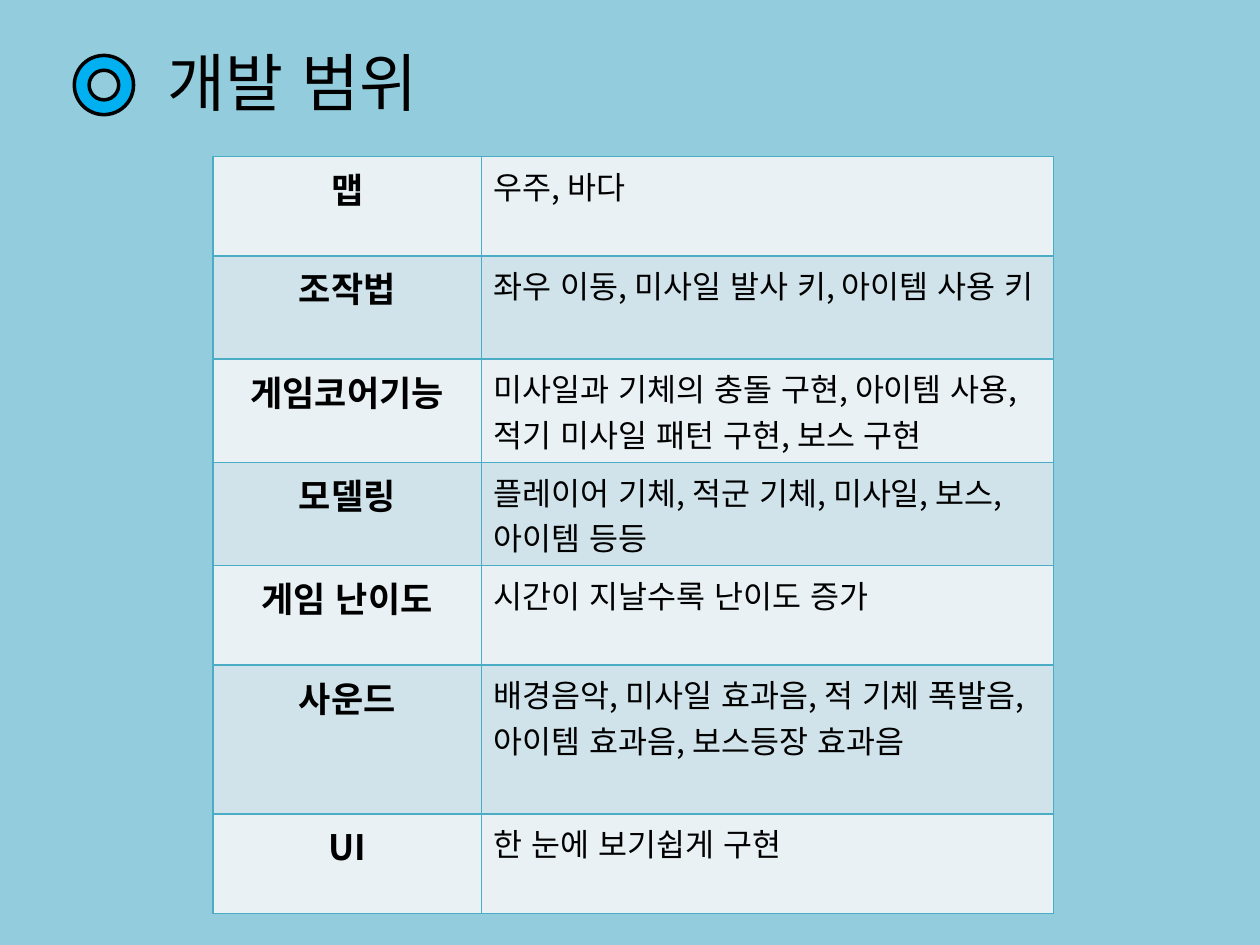
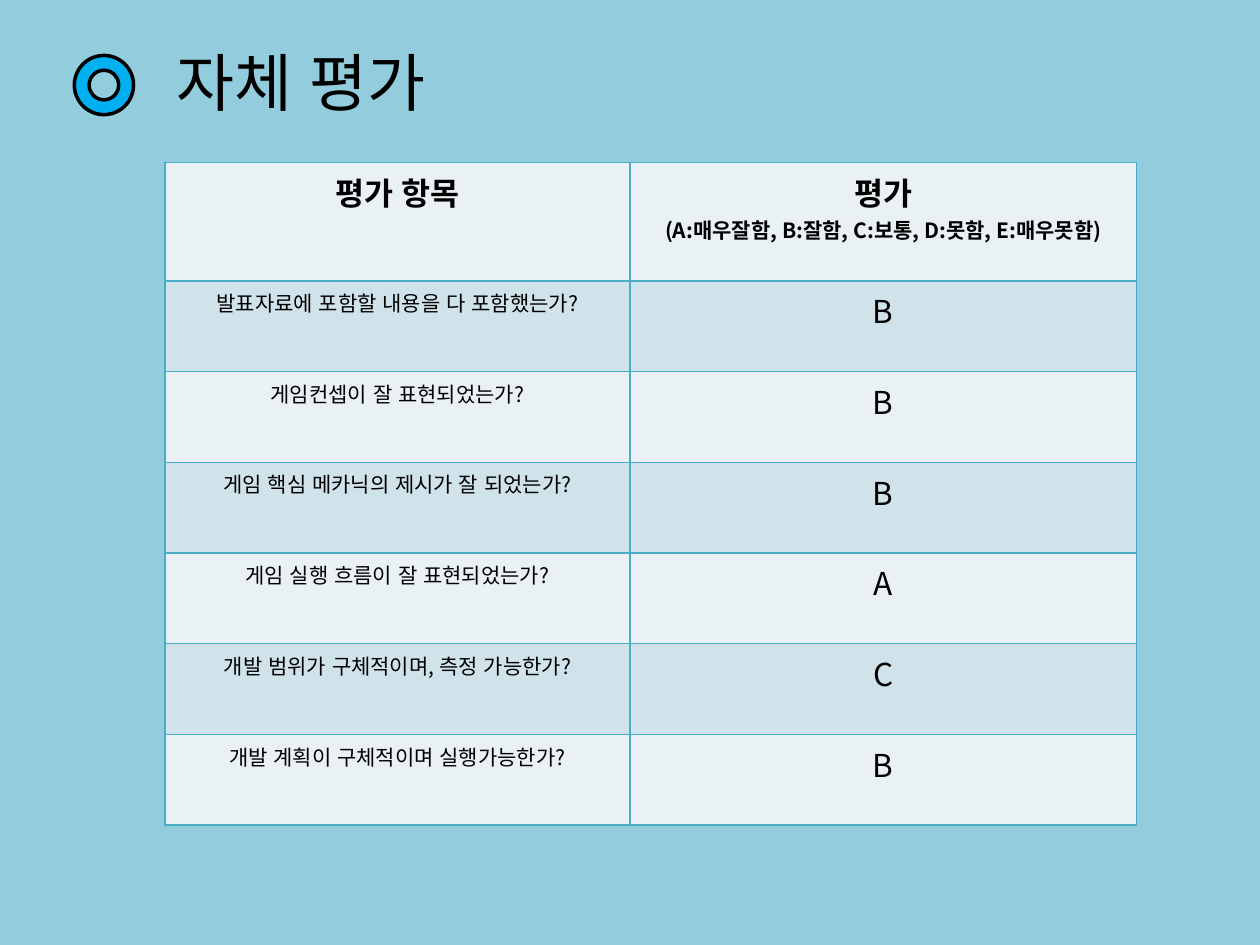
"""Build the game proposal slides on development scope and self evaluation."""
import pptx
import pptx.dml.color
import pptx.enum.shapes
import pptx.enum.text
import pptx.oxml
import pptx.oxml.ns
import pptx.util
from pptx.util import Inches

FONT = "Noto Sans CJK KR"
COLORS = {
    "background": "93CDDD",
    "ring": "00B0F0",
    "ink": "000000",
    "border": "4BACC6",
    "light_row": "E9F1F5",
    "dark_row": "D0E3EA",
}
CENTER = pptx.enum.text.PP_ALIGN.CENTER
LEFT = pptx.enum.text.PP_ALIGN.LEFT

SCOPE = [
    ("맵", "우주, 바다"),
    ("조작법", "좌우 이동, 미사일 발사 키, 아이템 사용 키"),
    ("게임코어기능", "미사일과 기체의 충돌 구현, 아이템 사용, 적기 미사일 패턴 구현, 보스 구현"),
    ("모델링", "플레이어 기체, 적군 기체, 미사일, 보스, 아이템 등등"),
    ("게임 난이도", "시간이 지날수록 난이도 증가"),
    ("사운드", "배경음악, 미사일 효과음, 적 기체 폭발음, 아이템 효과음, 보스등장 효과음"),
    ("UI", "한 눈에 보기쉽게 구현"),
]
SCOPE_LINES = (1, 2, 2, 2, 1, 3, 1)
SCOPE_HEIGHTS = {1: 0.79, 2: 0.82, 3: 1.18}
EVALUATION_HEADER = (
    "평가 항목",
    "평가\n(A:매우잘함, B:잘함, C:보통, D:못함, E:매우못함)",
)
EVALUATION = [
    ("발표자료에 포함할 내용을 다 포함했는가?", "B"),
    ("게임컨셉이 잘 표현되었는가?", "B"),
    ("게임 핵심 메카닉의 제시가 잘 되었는가?", "B"),
    ("게임 실행 흐름이 잘 표현되었는가?", "A"),
    ("개발 범위가 구체적이며, 측정 가능한가?", "C"),
    ("개발 계획이 구체적이며 실행가능한가?", "B"),
]


def rgb(name):
    """Return the named palette colour."""
    return pptx.dml.color.RGBColor.from_string(COLORS[name])


def format_paragraph(paragraph, size, bold=False, align=CENTER):
    """Apply the shared Korean font without kerning, ink colour and alignment."""
    paragraph.alignment = align
    for run in paragraph.runs:
        run.font.name = FONT
        run.font.size = pptx.util.Pt(size)
        run.font.bold = bold
        run.font.color.rgb = rgb("ink")
        properties = run.font._element
        properties.set("lang", "ko-KR")
        properties.set("kern", "0")
        east_asian = pptx.oxml.parse_xml(
            f'<a:ea {pptx.oxml.ns.nsdecls("a")} typeface="{FONT}"/>')
        properties.find(pptx.oxml.ns.qn("a:latin")).addnext(east_asian)


def add_titled_slide(deck, heading):
    """Add a slide with the shared background, ring and title."""
    slide = deck.slides.add_slide(deck.slide_layouts[6])
    slide.background.fill.solid()
    slide.background.fill.fore_color.rgb = rgb("background")

    ring = slide.shapes.add_shape(
        pptx.enum.shapes.MSO_SHAPE.DONUT,
        Inches(0.59), Inches(0.44), Inches(0.47), Inches(0.47))
    ring.shadow.inherit = False
    ring.fill.solid()
    ring.fill.fore_color.rgb = rgb("ring")
    ring.line.color.rgb = rgb("ink")
    ring.line.width = pptx.util.Pt(2)

    title = slide.shapes.add_textbox(
        Inches(-0.01), Inches(0.02), Inches(4.66), Inches(1.25)).text_frame
    title.word_wrap = True
    title.vertical_anchor = pptx.enum.text.MSO_ANCHOR.MIDDLE
    title.text = heading
    format_paragraph(title.paragraphs[0], 36)
    return slide


def add_borders(cell):
    """Draw a one point line on all four sides of a cell."""
    properties = cell._tc.get_or_add_tcPr()
    for side in ("lnL", "lnR", "lnT", "lnB"):
        properties.append(pptx.oxml.parse_xml(
            f'<a:{side} {pptx.oxml.ns.nsdecls("a")} w="12700"><a:solidFill>'
            f'<a:srgbClr val="{COLORS["border"]}"/></a:solidFill></a:{side}>'))


def add_banded_table(slide, left, top, widths, heights, rows):
    """Add a bordered table whose row fills alternate, and return it."""
    table = slide.shapes.add_table(
        len(rows), len(widths), Inches(left), Inches(top),
        Inches(sum(widths)), Inches(sum(heights))).table
    for column, width in zip(table.columns, widths):
        column.width = Inches(width)
    for index, (texts, height) in enumerate(zip(rows, heights)):
        table.rows[index].height = Inches(height)
        for cell, text in zip(table.rows[index].cells, texts):
            cell.text_frame.text = text
            add_borders(cell)
            cell.fill.solid()
            cell.fill.fore_color.rgb = rgb("dark_row" if index % 2 else "light_row")
    return table


def add_scope_slide(deck):
    """Add the table of development scope."""
    slide = add_titled_slide(deck, "개발 범위")
    heights = [SCOPE_HEIGHTS[lines] for lines in SCOPE_LINES]
    scope = add_banded_table(slide, 1.69, 1.24, (2.13, 4.54), heights, SCOPE)
    for row in scope.rows:
        area, details = row.cells
        format_paragraph(area.text_frame.paragraphs[0], 20, bold=True)
        format_paragraph(details.text_frame.paragraphs[0], 18, align=LEFT)


def add_evaluation_slide(deck):
    """Add the table of self evaluation grades."""
    slide = add_titled_slide(deck, " 자체 평가")
    heights = [0.94] + [0.72] * len(EVALUATION)
    evaluation = add_banded_table(
        slide, 1.31, 1.29, (3.69, 4.02), heights, [EVALUATION_HEADER] + EVALUATION)
    for index, row in enumerate(evaluation.rows):
        question, grade = row.cells
        is_header = index == 0
        format_paragraph(
            question.text_frame.paragraphs[0], 18 if is_header else 12, is_header)
        for paragraph, size in zip(grade.text_frame.paragraphs, (18, 12)):
            format_paragraph(paragraph, size, is_header)


def main():
    """Build and save the deck."""
    deck = pptx.Presentation()
    deck.slide_width, deck.slide_height = Inches(10), Inches(7.5)
    add_scope_slide(deck)
    add_evaluation_slide(deck)
    deck.save("out.pptx")


if __name__ == "__main__":
    main()
